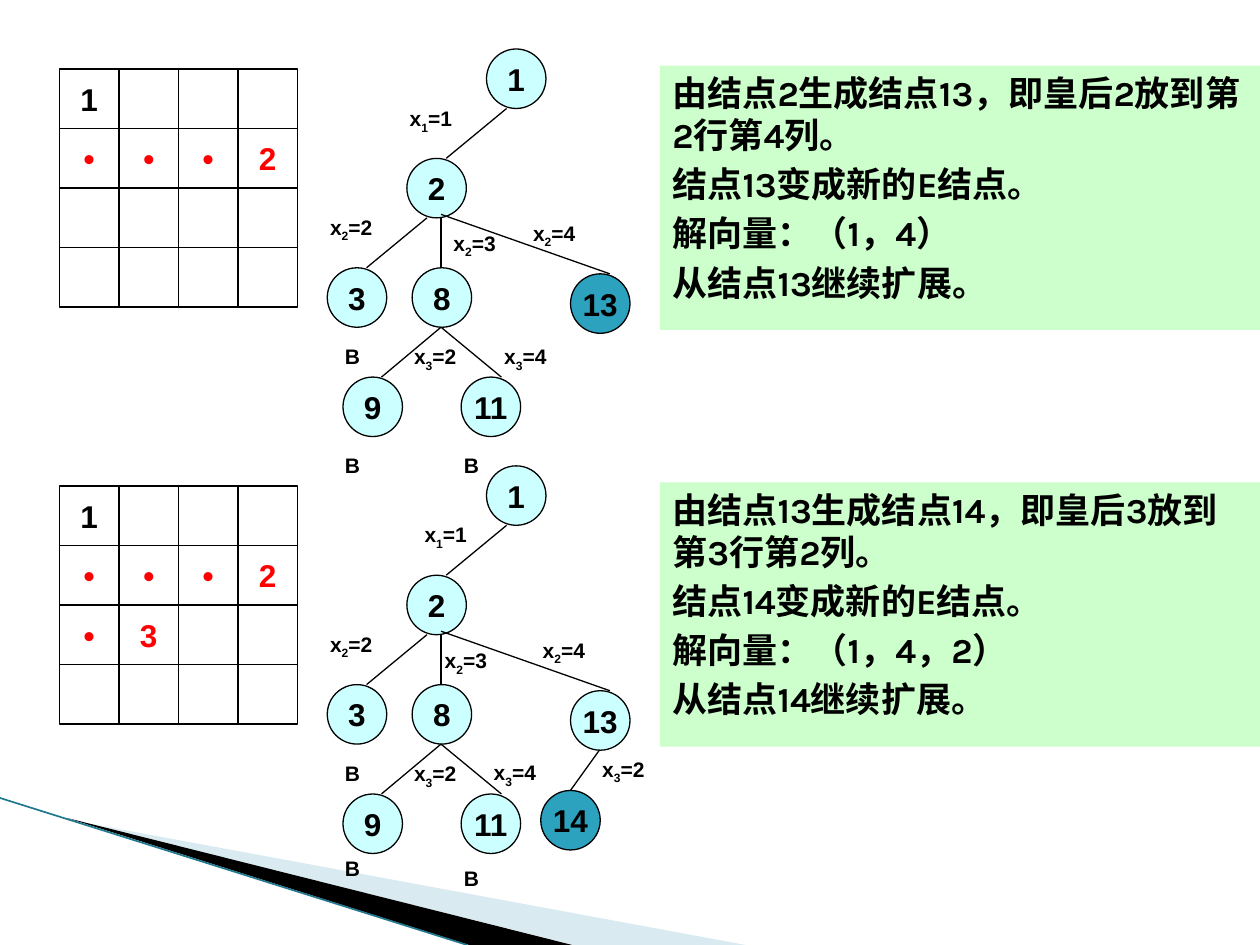
"""Draw two steps of the four queens search: board, state tree and notes."""
from dataclasses import dataclass

from pptx import Presentation
from pptx.dml.color import RGBColor
from pptx.enum import shapes as kinds, text as txt
from pptx.oxml import ns, xmlchemy as xml
from pptx.slide import Slide
from pptx.util import Pt

BLACK = RGBColor(0x00, 0x00, 0x00)
RED = RGBColor(0xFF, 0x00, 0x00)
CYAN = RGBColor(0xCC, 0xFF, 0xFF)
TEAL = RGBColor(0x2D, 0xA2, 0xBF)
GREEN = RGBColor(0xCC, 0xFF, 0xCC)
PALE = RGBColor(0xA0, 0xCB, 0xDC)
DEEP = RGBColor(0x20, 0x78, 0x8E)

SIDE = 34
STEP = 238.2
Spot = tuple[float, float]


@dataclass(frozen=True)
class Mark:
    text: str
    x: float
    y: float


@dataclass(frozen=True)
class Edge:
    start: Spot
    end: Spot


@dataclass(frozen=True)
class Stage:
    rows: tuple[str, ...]
    nodes: tuple[Mark, ...]
    edges: tuple[Edge, ...]
    tags: tuple[Mark, ...]
    live: str
    notes: str


NODES = (
    Mark("1", 278, 28), Mark("2", 232.5, 90.5), Mark("3", 187, 153),
    Mark("8", 235.5, 153), Mark("9", 196, 215.5), Mark("11", 263.5, 215.5),
    Mark("13", 326, 156.5),
)
EDGES = (
    Edge((289.5, 62), (255, 90.5)), Edge((244, 124.5), (209.5, 153)),
    Edge((252, 124.5), (252, 153)), Edge((252, 187), (218, 215.5)),
    Edge((252, 187), (286.5, 215.5)), Edge((252, 122.5), (348.5, 156.5)),
)
TAGS = (Mark("x2=2", 181.5, 119), Mark("B", 190, 193), Mark("x3=2", 229.5, 193))

STAGES = (
    Stage(
        ("1   ", "•••2", "    ", "    "), NODES, EDGES,
        TAGS + (
            Mark("x1=1", 227, 57), Mark("x2=3", 252, 128), Mark("x2=4", 297.5, 122.5),
            Mark("x3=4", 281, 193), Mark("B", 190, 255), Mark("B", 258, 255),
        ),
        "13",
        "由结点2生成结点13，即皇后2放到第2行第4列。\n结点13变成新的E结点。\n"
        "解向量：（1，4）\n从结点13继续扩展。",
    ),
    Stage(
        ("1   ", "•••2", "•3  ", "    "),
        NODES + (Mark("14", 309, 213.5),),
        EDGES + (Edge((342.5, 190.5), (326, 213.5)),),
        TAGS + (
            Mark("x1=1", 235.5, 56.5), Mark("x2=3", 247, 128.5), Mark("x2=4", 303, 122.5),
            Mark("x3=4", 275, 192.5), Mark("x3=2", 337, 190.5),
            Mark("B", 190, 247), Mark("B", 258, 253),
        ),
        "14",
        "由结点13生成结点14，即皇后3放到第3行第2列。\n结点14变成新的E结点。\n"
        "解向量：（1，4，2）\n从结点14继续扩展。",
    ),
)


def style(run, size: float, color: RGBColor = BLACK, face: str = "Arial") -> None:
    font = run.font
    font.size, font.name, font.bold = Pt(size), face, True
    font.color.rgb = color


def draw_cell(pool, kind, mark: Mark, ink: RGBColor = BLACK, fill: RGBColor | None = None) -> None:
    cell = pool.add_shape(kind, Pt(mark.x), Pt(mark.y), Pt(SIDE), Pt(SIDE))
    cell.shadow.inherit = False
    if fill is None:
        cell.fill.background()
    else:
        cell.fill.solid()
        cell.fill.fore_color.rgb = fill
    cell.line.color.rgb = BLACK
    cell.line.width = Pt(0.75)
    if mark.text.strip():
        frame = cell.text_frame
        frame.word_wrap = False
        frame.vertical_anchor = txt.MSO_ANCHOR.MIDDLE
        frame.text = mark.text
        para = frame.paragraphs[0]
        para.alignment = txt.PP_ALIGN.CENTER
        style(para.runs[0], 18, ink)


def draw_board(slide: Slide, rows: tuple[str, ...], top: float) -> None:
    pool = slide.shapes.add_group_shape().shapes
    for i, row in enumerate(rows):
        for j, sign in enumerate(row):
            mark = Mark(sign, 34 + j * SIDE, top + i * SIDE)
            draw_cell(pool, kinds.MSO_SHAPE.RECTANGLE, mark, RED if i else BLACK)


def draw_line(slide: Slide, edge: Edge, color: RGBColor = BLACK, width: float = 0.75) -> None:
    ends = [Pt(n) for n in edge.start + edge.end]
    line = slide.shapes.add_connector(kinds.MSO_CONNECTOR.STRAIGHT, *ends)
    line.line.color.rgb = color
    line.line.width = Pt(width)
    line._element.spPr.append(xml.OxmlElement("a:effectLst"))


def draw_tag(slide: Slide, mark: Mark) -> None:
    box = slide.shapes.add_textbox(Pt(mark.x), Pt(mark.y), Pt(45.5), Pt(21.5))
    box.text_frame.word_wrap = True
    para = box.text_frame.paragraphs[0]
    for i, part in enumerate((mark.text[0], mark.text[1:2], mark.text[2:])):
        if part:
            run = para.add_run()
            run.text = part
            style(run, 12)
            if i == 1:
                run._r.get_or_add_rPr().set("baseline", "-25000")


def fill_notes(body, notes: str, top: float) -> None:
    body.left, body.top, body.width, body.height = Pt(377), Pt(top), Pt(343), Pt(151)
    body.fill.solid()
    body.fill.fore_color.rgb = GREEN
    frame = body.text_frame
    frame.text = notes
    frame.auto_size = txt.MSO_AUTO_SIZE.NONE
    for para in frame.paragraphs:
        props = para._p.get_or_add_pPr()
        props.set("marL", "0")
        props.set("indent", "0")
        props.append(xml.OxmlElement("a:buNone"))
        style(para.runs[0], 20, face="Karla")


def draw_wedge(slide: Slide, spots: list[Spot], color: RGBColor, alpha: int = 100) -> None:
    first, *rest = [(Pt(x), Pt(y)) for x, y in spots]
    pen = slide.shapes.build_freeform(*first)
    pen.add_line_segments(rest)
    wedge = pen.convert_to_shape()
    wedge.shadow.inherit = False
    wedge.fill.solid()
    wedge.fill.fore_color.rgb = color
    wedge.line.fill.background()
    if alpha < 100:
        tint = wedge._element.spPr.find(".//" + ns.qn("a:srgbClr"))
        node = xml.OxmlElement("a:alpha")
        node.set("val", str(alpha * 1000))
        tint.append(node)


def draw_stage(slide: Slide, stage: Stage, body, drop: float) -> None:
    draw_board(slide, stage.rows, 39.5 + drop)
    fill_notes(body, stage.notes, 37.5 + drop)
    for node in stage.nodes:
        fill = TEAL if node.text == stage.live else CYAN
        spot = Mark(node.text, node.x, node.y + drop)
        draw_cell(slide.shapes, kinds.MSO_SHAPE.OVAL, spot, fill=fill)
    for edge in stage.edges:
        (x1, y1), (x2, y2) = edge.start, edge.end
        draw_line(slide, Edge((x1, y1 + drop), (x2, y2 + drop)))
    for tag in stage.tags:
        draw_tag(slide, Mark(tag.text, tag.x, tag.y + drop))


def main() -> None:
    deck = Presentation()
    deck.slide_width, deck.slide_height = Pt(720), Pt(540)
    slide = deck.slides.add_slide(deck.slide_layouts[3])
    title, *bodies = [p for p in slide.placeholders if p.placeholder_format.idx < 3]
    title._element.getparent().remove(title._element)
    draw_wedge(slide, [(39.5, 468.5), (426, 540), (328, 540)], PALE, 40)
    draw_wedge(slide, [(38.5, 467.5), (327, 540), (268, 540)], BLACK)
    draw_line(slide, Edge((0, 456), (267, 540)), DEEP, 0.95)
    for i, (stage, body) in enumerate(zip(STAGES, bodies)):
        draw_stage(slide, stage, body, i * STEP)
    deck.save("out.pptx")


if __name__ == "__main__":
    main()
